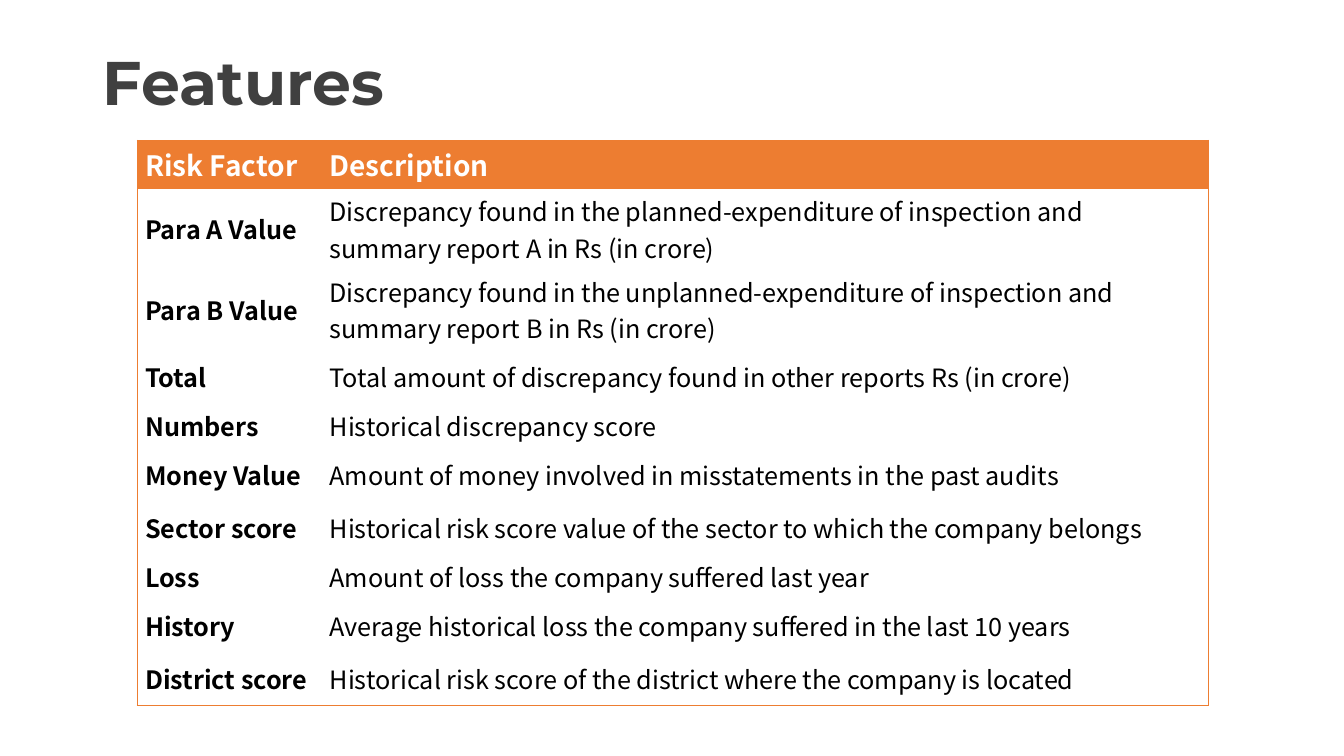
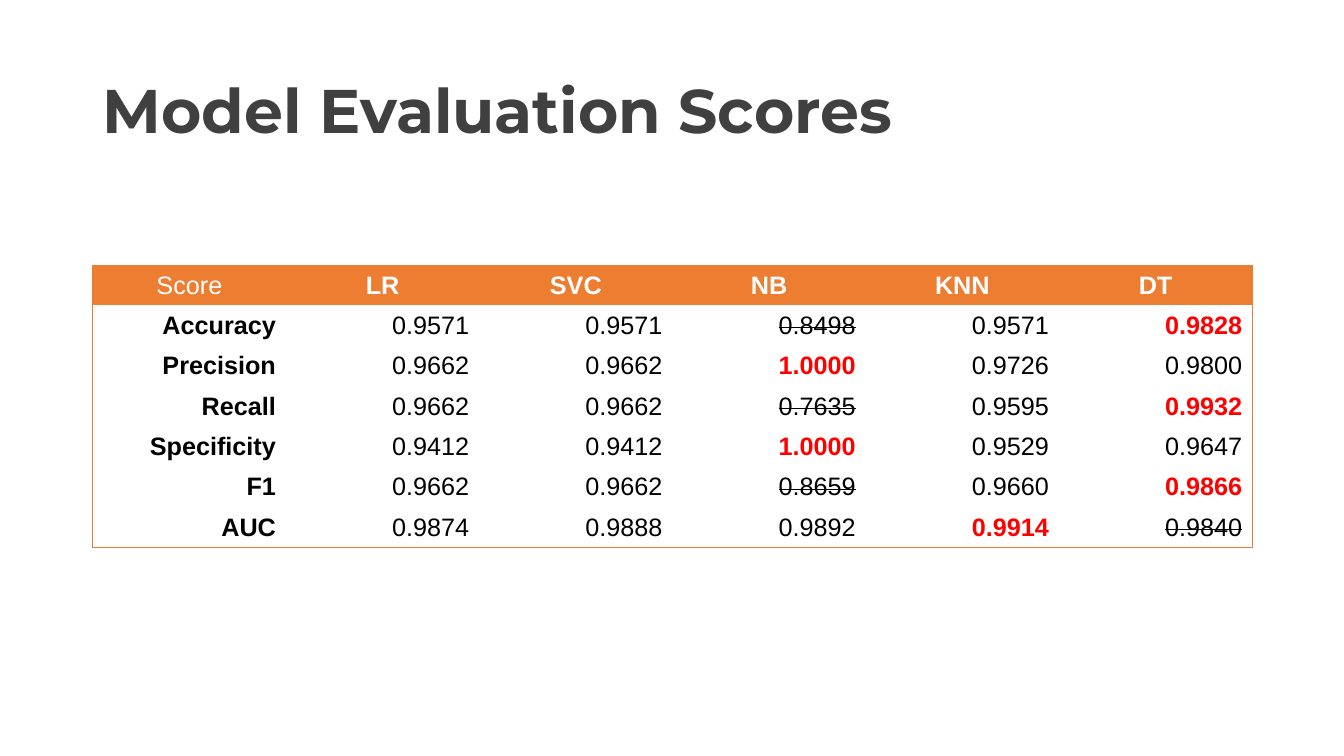
from dataclasses import dataclass
from typing import Any

from lxml import etree
from pptx import Presentation
from pptx import util as u
from pptx.dml.color import RGBColor
from pptx.enum import text
from pptx.oxml.ns import qn

CENTER, RIGHT, LEFT = text.PP_ALIGN.CENTER, text.PP_ALIGN.RIGHT, text.PP_ALIGN.LEFT


# Colours, fonts and type sizes
@dataclass(frozen=True)
class Theme:
    title: str = "404040"
    accent: str = "ED7D31"
    header: str = "FFFFFF"
    body: str = "000000"
    best: str = "FF0000"
    title_font: str = "Montserrat"
    feature_font: str = "Noto Sans CJK SC"
    score_font: str = "Arial"
    title_size: int = 44
    header_size: int = 20
    body_size: int = 18
    border: float = 0.5
    no_grid: str = "{2D5ABB26-0587-4C30-8999-92F81FD0307C}"


THEME = Theme()


@dataclass(frozen=True)
class Cell:
    text: str
    font: str
    size: int = THEME.body_size
    color: str = THEME.body
    bold: bool = False
    strike: bool = False
    align: Any = LEFT


@dataclass(frozen=True)
class Grid:
    left: float
    top: float
    cols: list[float]
    rows: list[float]
    cells: list[list[Cell]]
    margin_x: float
    margin_y: float


# Slide content
FEATURES = [
    ("Para A Value", "Discrepancy found in the planned-expenditure of inspection "
     "and summary report A in Rs (in crore)", 0.8),
    ("Para B Value", "Discrepancy found in the unplanned-expenditure of inspection "
     "and summary report B in Rs (in crore)", 0.8),
    ("Total", "Total amount of discrepancy found in other reports Rs (in crore)", 0.53),
    ("Numbers", "Historical discrepancy score", 0.44),
    ("Money Value", "Amount of money involved in misstatements in the past audits", 0.53),
    ("Sector score", "Historical risk score value of the sector to which the company "
     "belongs", 0.53),
    ("Loss", "Amount of loss the company suffered last year", 0.44),
    ("History", "Average historical loss the company suffered in the last 10 years", 0.53),
    ("District score", "Historical risk score of the district where the company is "
     "located", 0.53),
]
MODELS = ["LR", "SVC", "NB", "KNN", "DT"]
SCORES = {
    "Accuracy": [0.9571, 0.9571, 0.8498, 0.9571, 0.9828],
    "Precision": [0.9662, 0.9662, 1.0, 0.9726, 0.98],
    "Recall": [0.9662, 0.9662, 0.7635, 0.9595, 0.9932],
    "Specificity": [0.9412, 0.9412, 1.0, 0.9529, 0.9647],
    "F1": [0.9662, 0.9662, 0.8659, 0.966, 0.9866],
    "AUC": [0.9874, 0.9888, 0.9892, 0.9914, 0.984],
}


# Shared drawing
def set_all(target: Any, values: dict[str, Any]) -> None:
    for name, value in values.items():
        setattr(target, name, value)


def add_run(p: Any, c: Cell) -> None:
    p.alignment = c.align
    r = p.add_run()
    r.text = c.text
    set_all(r.font, {"name": c.font, "size": u.Pt(c.size), "bold": c.bold})
    r.font.color.rgb = RGBColor.from_string(c.color)
    if c.strike:
        r._r.get_or_add_rPr().set("strike", "sngStrike")


def add_title(slide: Any, title: str, top: float, height: float) -> None:
    sp = slide.shapes.add_textbox(u.Inches(0.92), u.Inches(top),
                                  u.Inches(11.5), u.Inches(height))
    tf = sp.text_frame
    set_all(tf, {"word_wrap": True, "vertical_anchor": text.MSO_ANCHOR.MIDDLE})
    p = tf.paragraphs[0]
    p.line_spacing = 0.9
    add_run(p, Cell(title, THEME.title_font, THEME.title_size, THEME.title, bold=True))


def add_border(cell: Any, side: str) -> None:
    ln = etree.SubElement(cell._tc.get_or_add_tcPr(), qn(f"a:ln{side}"),
                          w=str(u.Pt(THEME.border)))
    fill = etree.SubElement(ln, qn("a:solidFill"))
    etree.SubElement(fill, qn("a:srgbClr"), val=THEME.accent)


def add_grid(slide: Any, g: Grid) -> None:
    n_rows, n_cols = len(g.rows), len(g.cols)
    frame = slide.shapes.add_table(n_rows, n_cols, u.Inches(g.left), u.Inches(g.top),
                                   u.Inches(sum(g.cols)), u.Inches(sum(g.rows)))
    table = frame.table
    table.horz_banding = False
    table._tbl.tblPr.find(qn("a:tableStyleId")).text = THEME.no_grid
    for col, width in zip(table.columns, g.cols):
        col.width = u.Inches(width)
    for row, height in zip(table.rows, g.rows):
        row.height = u.Inches(height)

    mx, my = u.Inches(g.margin_x), u.Inches(g.margin_y)
    layout = {"margin_left": mx, "margin_right": mx, "margin_top": my,
              "margin_bottom": my, "vertical_anchor": text.MSO_ANCHOR.MIDDLE}
    for i, row_cells in enumerate(g.cells):
        for j, content in enumerate(row_cells):
            cell = table.cell(i, j)
            set_all(cell, layout)
            add_run(cell.text_frame.paragraphs[0], content)
            # Only the outer edge of the table is ruled
            edges = {"L": j == 0, "R": j == n_cols - 1, "T": i == 0, "B": i == n_rows - 1}
            for side, outer in edges.items():
                if outer:
                    add_border(cell, side)
            if i == 0:
                cell.fill.solid()
                cell.fill.fore_color.rgb = RGBColor.from_string(THEME.accent)
            else:
                cell.fill.background()


# Table contents
def feature_cells() -> list[list[Cell]]:
    font = THEME.feature_font
    header = [Cell(t, font, THEME.header_size, THEME.header, bold=True)
              for t in ("Risk Factor", "Description")]
    return [header] + [[Cell(name, font, bold=True), Cell(description, font)]
                       for name, description, _ in FEATURES]


def score_cells() -> list[list[Cell]]:
    font = THEME.score_font
    rows = [[Cell(t, font, color=THEME.header, bold=t in MODELS, align=CENTER)
             for t in ["Score", *MODELS]]]
    for metric, values in SCORES.items():
        row = [Cell(metric, font, bold=True, align=RIGHT)]
        for v in values:
            # The best score is red; a sole worst score is struck through
            best = v == max(values)
            worst = v == min(values) and values.count(v) == 1
            row.append(Cell(f"{v:.4f}", font, color=THEME.best if best else THEME.body,
                            bold=best, strike=worst, align=RIGHT))
        rows.append(row)
    return rows


def main() -> None:
    prs = Presentation()
    set_all(prs, {"slide_width": u.Inches(13.33), "slide_height": u.Inches(7.5)})
    blank = prs.slide_layouts[6]

    # Features
    s = prs.slides.add_slide(blank)
    add_title(s, "Features", 0.3, 1.1)
    heights = [0.48] + [height for _, _, height in FEATURES]
    add_grid(s, Grid(1.36, 1.39, [1.83, 8.79], heights, feature_cells(), 0.08, 0.04))

    # Model evaluation scores
    s = prs.slides.add_slide(blank)
    add_title(s, "Model Evaluation Scores", 0.4, 1.45)
    cells = score_cells()
    add_grid(s, Grid(0.92, 2.63, [11.5 / len(cells[0])] * len(cells[0]),
                     [0.38] * len(cells), cells, 0.1, 0.05))

    prs.save("out.pptx")


if __name__ == "__main__":
    main()
